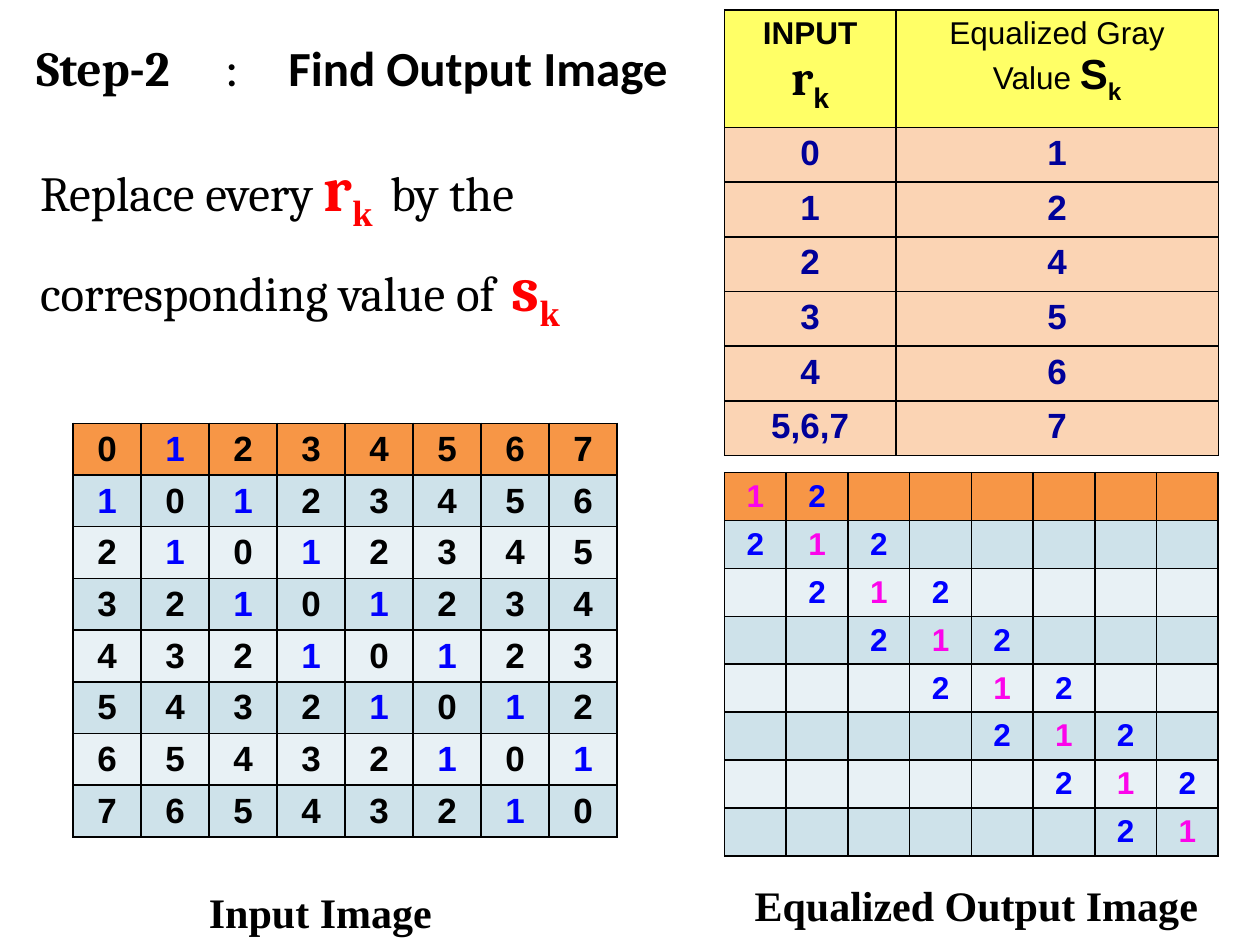
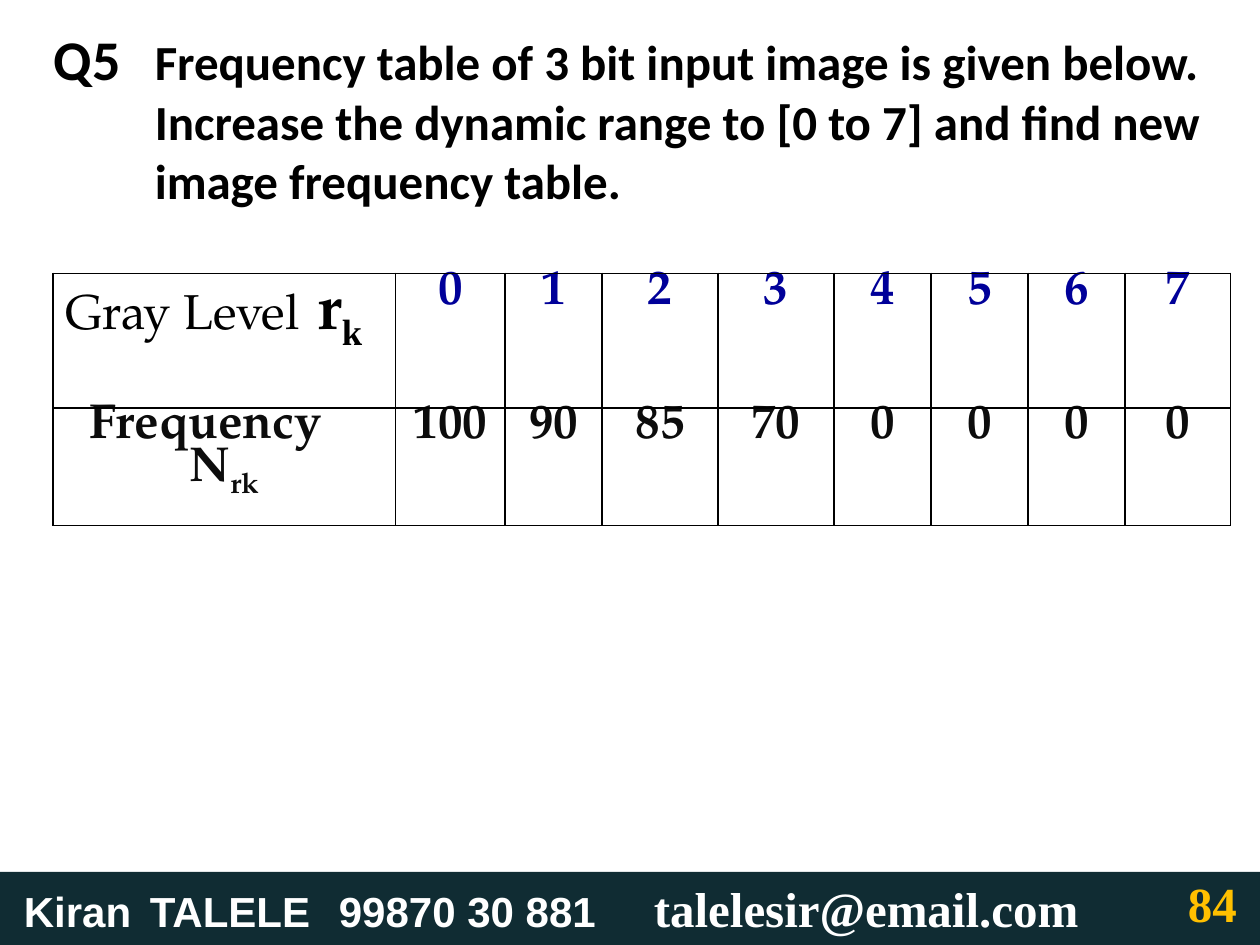
"""Build two slides on histogram equalization and a gray-level frequency question."""
from lxml.etree import SubElement
from pptx import Presentation
from pptx.dml.color import RGBColor as Color
from pptx.enum.shapes import MSO_SHAPE as Shape
from pptx.enum.text import MSO_ANCHOR as Anchor, PP_ALIGN as Align
from pptx.oxml.ns import qn
from pptx.util import Inches, Pt

BLACK, WHITE = Color(0, 0, 0), Color(255, 255, 255)
RED, BLUE, NAVY = Color(255, 0, 0), Color(0, 0, 255), Color(0, 0, 0x99)
MAGENTA, GOLD = Color(0xFC, 0x04, 0xEB), Color(0xFF, 0xC0, 0)
INK, BAND = Color(0x0C, 0x0C, 0x0C), Color(0x10, 0x2C, 0x33)
ORANGE, YELLOW, PEACH = Color(0xF7, 0x96, 0x46), Color(255, 255, 0x66), Color(0xFB, 0xD4, 0xB4)
STRIPES = (Color(0xE8, 0xF1, 0xF5), Color(0xCE, 0xE2, 0xEA))
SERIF, SANS, TITLE, TIMES, BOOK = "Cambria", "Arial", "Calibri", "Times New Roman", "TeX Gyre Pagella"


def run(text, size, name, color=BLACK, bold=True, sub=False):
    return text, {"size": Pt(size), "name": name, "bold": bold}, color, sub


def para(*runs, **layout):
    return runs, layout


def centered(*runs, **layout):
    return para(*runs, align=Align.CENTER, **layout)


LEVELS = range(8)
DISTANCES = [[abs(row - column) for column in LEVELS] for row in LEVELS]
EQUALIZED = {0: ("1", MAGENTA), 1: ("2", BLUE)}
MAPPING = [("0", "1"), ("1", "2"), ("2", "4"), ("3", "5"), ("4", "6"), ("5,6,7", "7")]
FREQUENCIES = (100, 90, 85, 70, 0, 0, 0, 0)

STEP_HEADING = para(run("Step-2", 28, SERIF), run("\t:\t", 28, TITLE, bold=False),
                    run("Find Output Image", 28, TITLE), tabs=(1.27, 1.52))
INSTRUCTION = para(
    run("Replace every ", 28, SERIF, bold=False), run("r", 36, SERIF, RED),
    run("k", 36, TIMES, RED, sub=True), run(" ", 40, TIMES, bold=False),
    run("by the corresponding value of", 28, SERIF, bold=False),
    run(" ", 44, SERIF, bold=False), run("s", 36, SERIF, RED),
    run("k", 36, TIMES, RED, sub=True))
QUESTION = para(
    run("Q5", 32, TITLE),
    run("\tFrequency table of 3 bit input image is given below. Increase the dynamic "
        "range to [0 to 7] and find new image frequency table.", 28, TITLE), hang=0.8)
FOOTER = para(run("Kiran\tTALELE\t99870 30 881\t", 24, SANS, WHITE),
              run("talelesir@email.com", 28, TIMES, WHITE), tabs=(1.04, 2.78, 5.18))
PAGE_NUMBER = para(run("84", 28, TIMES, GOLD))
CAPTIONS = [((1.56, 6.99, 3.4, 0.51), "Input Image"),
            ((5.89, 6.93, 4.05, 0.51), "Equalized Output Image")]

MAPPING_HEADER = [
    [centered(run("INPUT", 18, SANS)),
     centered(run("r", 28, SERIF), run("k", 28, SANS, sub=True))],
    [centered(run("Equalized Gray Value ", 18, SANS, bold=False), run("S", 24, SANS),
              run("k", 24, SANS, sub=True))]]
LEVEL_HEADER = [para(run("Gray Level\t", 28, BOOK, bold=False), run("r", 36, BOOK),
                     run("k", 36, TIMES, sub=True), margin=0.03, tabs=(2.15,))]
FREQUENCY_HEADER = [para(run("Frequency", 28, BOOK, INK), margin=0.22, spacing=0.8),
                    centered(run("N", 28, BOOK, INK), run("rk", 28, BOOK, INK, sub=True),
                             spacing=0.8)]


def write(frame, paragraphs):
    frame.word_wrap = True
    for index, (runs, layout) in enumerate(paragraphs):
        paragraph = frame.add_paragraph() if index else frame.paragraphs[0]
        paragraph.alignment = layout.get("align", Align.LEFT)
        paragraph.line_spacing = layout.get("spacing", 1.0)
        properties = paragraph._p.get_or_add_pPr()
        hang = layout.get("hang", 0)
        properties.set("marL", str(Inches(hang or layout.get("margin", 0))))
        properties.set("indent", str(-Inches(hang)))
        if "tabs" in layout:
            stops = SubElement(properties, qn("a:tabLst"))
            for position in layout["tabs"]:
                SubElement(stops, qn("a:tab"), pos=str(Inches(position)), algn="l")
        for text, font_values, color, sub in runs:
            piece = paragraph.add_run()
            piece.text = text
            for name, value in font_values.items():
                setattr(piece.font, name, value)
            piece.font.color.rgb = color
            if sub:
                piece._r.get_or_add_rPr().set("baseline", "-25000")


def add_text(slide, box, paragraph, anchor=Anchor.TOP):
    frame = slide.shapes.add_textbox(*map(Inches, box)).text_frame
    frame.vertical_anchor = anchor
    write(frame, [paragraph])


def set_borders(cell):
    properties = cell._tc.get_or_add_tcPr()
    for index, side in enumerate(("lnL", "lnR", "lnT", "lnB")):
        line = properties.makeelement(qn(f"a:{side}"), {"w": str(Pt(1))})
        properties.insert(index, line)
        fill = SubElement(line, qn("a:solidFill"))
        SubElement(fill, qn("a:srgbClr"), val=str(BLACK))


def add_grid(slide, corner, widths, heights, cells, fill_of, insets=(0.1, 0.05)):
    box = (*corner, sum(widths), sum(heights))
    table = slide.shapes.add_table(len(heights), len(widths), *map(Inches, box)).table
    for column, width in zip(table.columns, widths):
        column.width = Inches(width)
    for row_index, (row, height) in enumerate(zip(table.rows, heights)):
        row.height = Inches(height)
        for cell, paragraphs in zip(row.cells, cells[row_index]):
            across, down = insets if paragraphs else (0, 0)
            margins = {"margin_left": across, "margin_right": across,
                       "margin_top": down, "margin_bottom": down}
            for name, value in margins.items():
                setattr(cell, name, Inches(value))
            fill = fill_of(row_index)
            if fill is None:
                cell.fill.background()
            else:
                cell.fill.solid()
                cell.fill.fore_color.rgb = fill
            set_borders(cell)
            write(cell.text_frame, paragraphs)


def image_fill(row):
    return STRIPES[row % 2] if row else ORANGE


def input_cell(distance):
    return [centered(run(str(distance), 20, SANS, BLUE if distance == 1 else BLACK))]


def output_cell(distance):
    if distance not in EQUALIZED:
        return []
    text, color = EQUALIZED[distance]
    return [centered(run(text, 18, SANS, color))]


def frequency_cell(value, color):
    return [centered(run(str(value), 28, BOOK, color), spacing=0.8)]


def build_output_slide(slide):
    for corner, width, height, make_cell in (((0.58, 3.36), 0.54, 0.41, input_cell),
                                             ((5.75, 3.75), 0.49, 0.38, output_cell)):
        cells = [[make_cell(distance) for distance in row] for row in DISTANCES]
        add_grid(slide, corner, [width] * 8, [height] * 8, cells, image_fill)
    for box, caption in CAPTIONS:
        add_text(slide, box, para(run(caption, 24, TIMES)))
    add_text(slide, (0.19, 0.25, 5.56, 0.75), STEP_HEADING)
    add_text(slide, (0.22, 1.07, 5.36, 1.51), INSTRUCTION)
    values = [[[centered(run(text, 20, SANS, NAVY))] for text in row] for row in MAPPING]
    add_grid(slide, (5.75, 0.08), (1.36, 2.56), [0.87] + [0.43] * 6,
             [MAPPING_HEADER] + values, lambda row: PEACH if row else YELLOW)


def build_question_slide(slide):
    add_text(slide, (0.33, 0.33, 9.58, 1.2), QUESTION, Anchor.MIDDLE)
    cells = [[LEVEL_HEADER] + [frequency_cell(level, NAVY) for level in LEVELS],
             [FREQUENCY_HEADER] + [frequency_cell(count, INK) for count in FREQUENCIES]]
    add_grid(slide, (0.42, 2.17), (2.72, 0.87, 0.77, 0.92, 0.92, 0.77, 0.77, 0.77, 0.84),
             (1.07, 0.93), cells, lambda row: None, (0.07, 0))
    band = slide.shapes.add_shape(Shape.RECTANGLE, *map(Inches, (0, 6.92, 10, 0.58)))
    band.shadow.inherit = False
    band.fill.solid()
    band.fill.fore_color.rgb = BAND
    band.line.fill.background()
    band.text_frame.margin_left = Inches(0.19)
    band.text_frame.vertical_anchor = Anchor.TOP
    write(band.text_frame, [FOOTER])
    add_text(slide, (9.33, 6.88, 0.67, 0.61), PAGE_NUMBER)


def main():
    presentation = Presentation()
    presentation.slide_width, presentation.slide_height = Inches(10), Inches(7.5)
    for build in (build_output_slide, build_question_slide):
        build(presentation.slides.add_slide(presentation.slide_layouts[6]))
    presentation.save("out.pptx")


if __name__ == "__main__":
    main()
